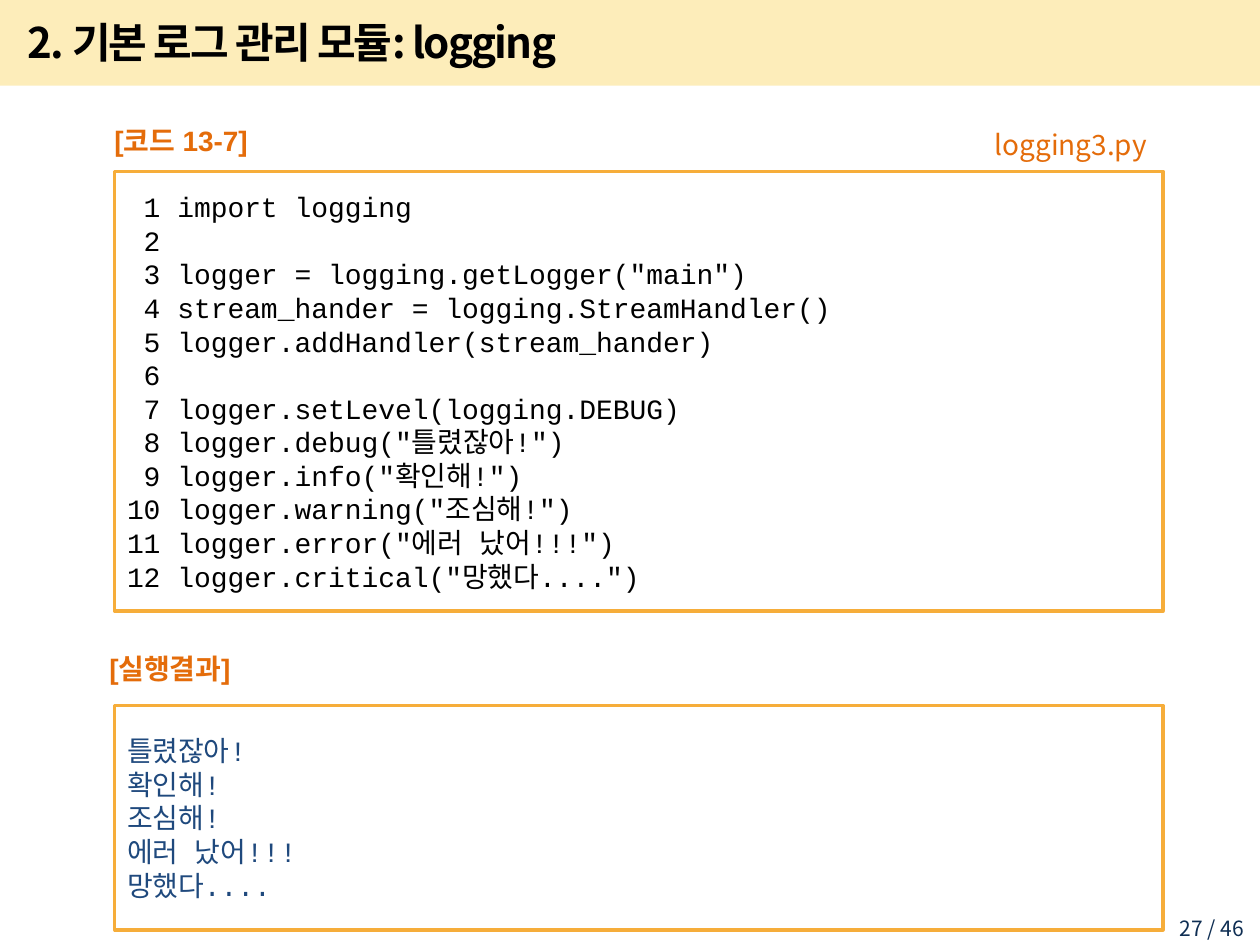
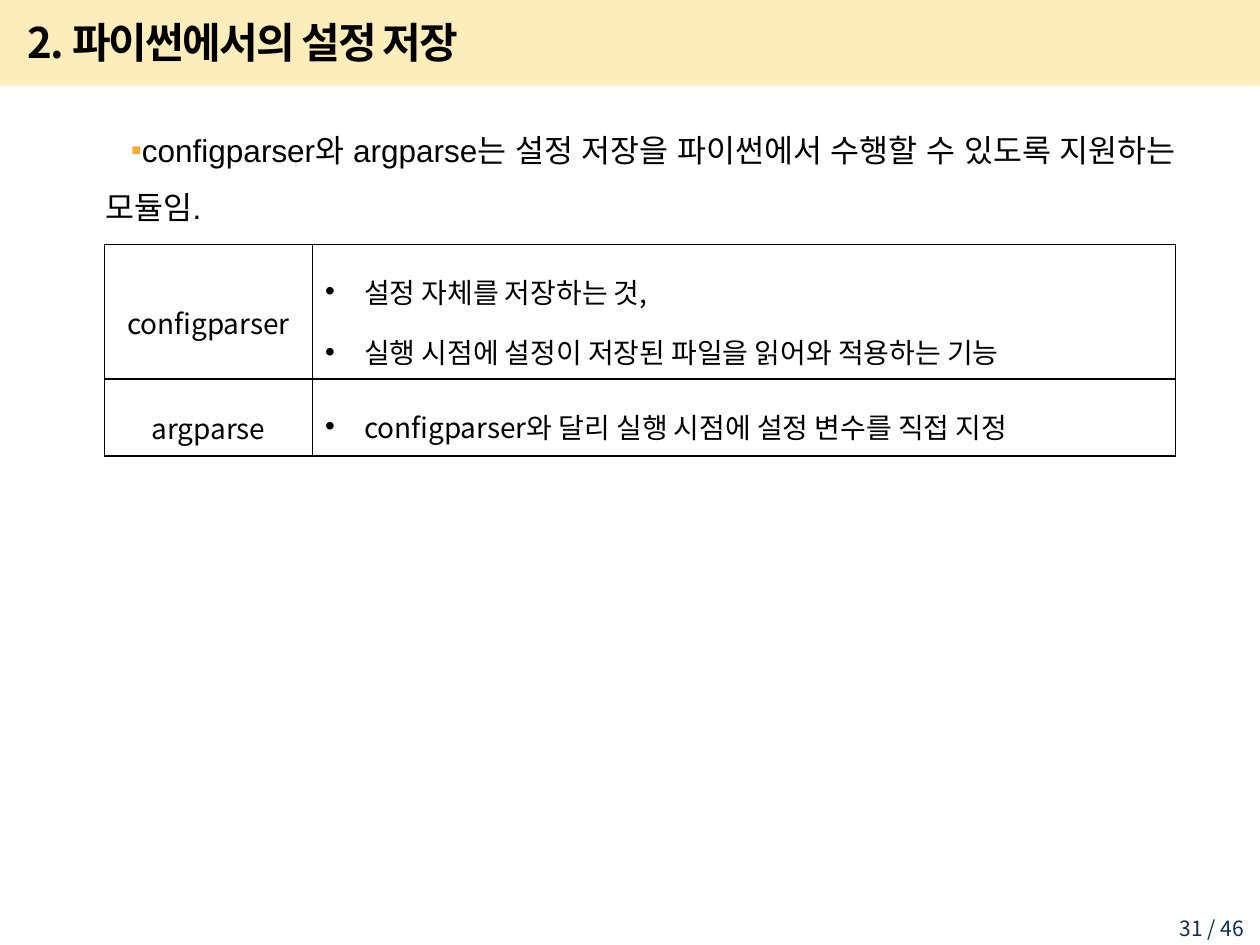
from lxml import etree
from pptx import Presentation
from pptx import util as u
from pptx.dml.color import RGBColor
from pptx.enum import shapes, text
from pptx.oxml import parse_xml
from pptx.oxml.ns import nsdecls, qn

SANS, ARIAL, MONO = "Noto Sans CJK KR", "Arial", "Courier New"
BLACK, ORANGE, NAVY, BLUE = "000000", "E46C0A", "0F2E53", "1F497D"
AMBER, YELLOW = "F6AD3A", "FABE00"
LEFT, CENTER, RIGHT = text.PP_ALIGN.LEFT, text.PP_ALIGN.CENTER, text.PP_ALIGN.RIGHT
MIDDLE, TOP = text.MSO_ANCHOR.MIDDLE, text.MSO_ANCHOR.TOP


def rgb(color):
    return RGBColor.from_string(color)


def write(frame, lines, font, size, color, bold=False, align=LEFT, anchor=MIDDLE,
          wrap=True, spacing=None, bullet=None, bullet_color=BLACK, indent=(0, 0)):
    frame.word_wrap = wrap
    frame.vertical_anchor = anchor
    for number, line in enumerate(lines):
        paragraph = frame.add_paragraph() if number else frame.paragraphs[0]
        paragraph.alignment = align
        if spacing:
            paragraph.line_spacing = spacing
        if bullet:
            properties = paragraph._p.get_or_add_pPr()
            properties.set("marL", str(u.Inches(indent[0])))
            properties.set("indent", str(u.Inches(indent[1])))
            for tag in (f'<a:buClr {nsdecls("a")}><a:srgbClr val="{bullet_color}"/></a:buClr>',
                        f'<a:buFont {nsdecls("a")} typeface="Arial"/>',
                        f'<a:buChar {nsdecls("a")} char="{bullet}"/>'):
                properties.append(parse_xml(tag))
        run = paragraph.add_run()
        run.text = line
        run.font.name = font
        run.font.size = u.Pt(size)
        run.font.bold = bold
        run.font.color.rgb = rgb(color)
        etree.SubElement(run.font._element, qn("a:ea")).set("typeface", font)


prs = Presentation()
prs.slide_width, prs.slide_height = u.Inches(10), u.Inches(7.5)

pages = []
for title, page in (("2. 기본 로그 관리 모듈: logging", 27), ("2. 파이썬에서의 설정 저장", 31)):
    slide = prs.slides.add_slide(prs.slide_layouts[6])
    band = slide.shapes.add_shape(shapes.MSO_SHAPE.RECTANGLE, 0, 0, prs.slide_width, u.Inches(0.68))
    band.shadow.inherit = False
    band.line.fill.background()
    band.fill.solid()
    band.fill.fore_color.rgb = rgb(YELLOW)
    tint = band._element.spPr.find(".//" + qn("a:srgbClr"))
    etree.SubElement(tint, qn("a:alpha")).set("val", "27000")

    footer = slide.shapes.add_textbox(u.Inches(9.05), u.Inches(7.22), u.Inches(0.92), u.Inches(0.23))
    write(footer.text_frame, [f"{page} / 46"], SANS, 12, NAVY, align=RIGHT, anchor=TOP)

    heading = slide.shapes.add_textbox(u.Inches(0.12), u.Inches(0.07), u.Inches(8.51), u.Inches(0.52))
    write(heading.text_frame, [title], SANS, 24, BLACK, bold=True)
    heading.text_frame.paragraphs[0].runs[0].font._element.set("spc", "-100")
    pages.append(slide)

logging_slide, settings_slide = pages

code = """import logging

logger = logging.getLogger("main")
stream_hander = logging.StreamHandler()
logger.addHandler(stream_hander)

logger.setLevel(logging.DEBUG)
logger.debug("틀렸잖아!")
logger.info("확인해!")
logger.warning("조심해!")
logger.error("에러 났어!!!")
logger.critical("망했다....")""".split("\n")
listing = [f"{number:2} {line}".rstrip() for number, line in enumerate(code, 1)]
output = ["틀렸잖아!", "확인해!", "조심해!", "에러 났어!!!", "망했다...."]

for top, height, lines, color in ((5.6, 1.78, output, BLUE), (1.36, 3.49, listing, BLACK)):
    panel = logging_slide.shapes.add_shape(
        shapes.MSO_SHAPE.RECTANGLE, u.Inches(0.91), u.Inches(top), u.Inches(8.32), u.Inches(height))
    panel.shadow.inherit = False
    panel.fill.background()
    panel.line.color.rgb = rgb(AMBER)
    panel.line.width = u.Pt(2)
    write(panel.text_frame, lines, MONO, 16, color)

for label, left, top, width, height, font, bold, align, anchor in (
        ("[실행결과]", 0.77, 5.03, 1.57, 0.55, ARIAL, True, LEFT, MIDDLE),
        ("[코드 13-7]", 0.81, 0.86, 1.57, 0.5, ARIAL, True, LEFT, MIDDLE),
        ("logging3.py", 7.6, 0.96, 1.6, 0.37, SANS, False, RIGHT, TOP)):
    caption = logging_slide.shapes.add_textbox(
        u.Inches(left), u.Inches(top), u.Inches(width), u.Inches(height))
    write(caption.text_frame, [label], font, 16, ORANGE, bold, align, anchor, wrap=False)

summary = settings_slide.shapes.add_textbox(
    u.Inches(0.35), u.Inches(0.84), u.Inches(9.15), u.Inches(6.46))
write(summary.text_frame,
      ["configparser와 argparse는 설정 저장을 파이썬에서 수행할 수 있도록 지원하는 모듈임."],
      ARIAL, 18, BLACK, anchor=TOP, spacing=1.5, bullet="▪", bullet_color=AMBER, indent=(0.39, 0.2))

modules = (
    ("configparser", ["설정 자체를 저장하는 것,", "실행 시점에 설정이 저장된 파일을 읽어와 적용하는 기능"]),
    ("argparse", ["configparser와 달리 실행 시점에 설정 변수를 직접 지정"]),
)
comparison = settings_slide.shapes.add_table(
    2, 2, u.Inches(0.83), u.Inches(1.94), u.Inches(8.5), u.Inches(1.68)).table
comparison.first_row = comparison.horz_banding = False
for column, width in zip(comparison.columns, (1.65, 6.85)):
    column.width = u.Inches(width)
for row, height, (module, features) in zip(comparison.rows, (1.07, 0.61), modules):
    row.height = u.Inches(height)
    name_cell, feature_cell = row.cells
    write(name_cell.text_frame, [module], SANS, 16, BLACK, align=CENTER, spacing=1.5)
    write(feature_cell.text_frame, features, SANS, 16, BLACK,
          spacing=1.5, bullet="•", indent=(0.31, -0.31))
    for cell, anchor in ((name_cell, MIDDLE), (feature_cell, TOP)):
        cell.vertical_anchor = anchor
        cell.fill.background()
        for position, side in enumerate(("lnL", "lnR", "lnT", "lnB")):
            cell._tc.get_or_add_tcPr().insert(position, parse_xml(
                f'<a:{side} {nsdecls("a")} w="12700"><a:solidFill>'
                f'<a:srgbClr val="{BLACK}"/></a:solidFill></a:{side}>'))

prs.save("out.pptx")
